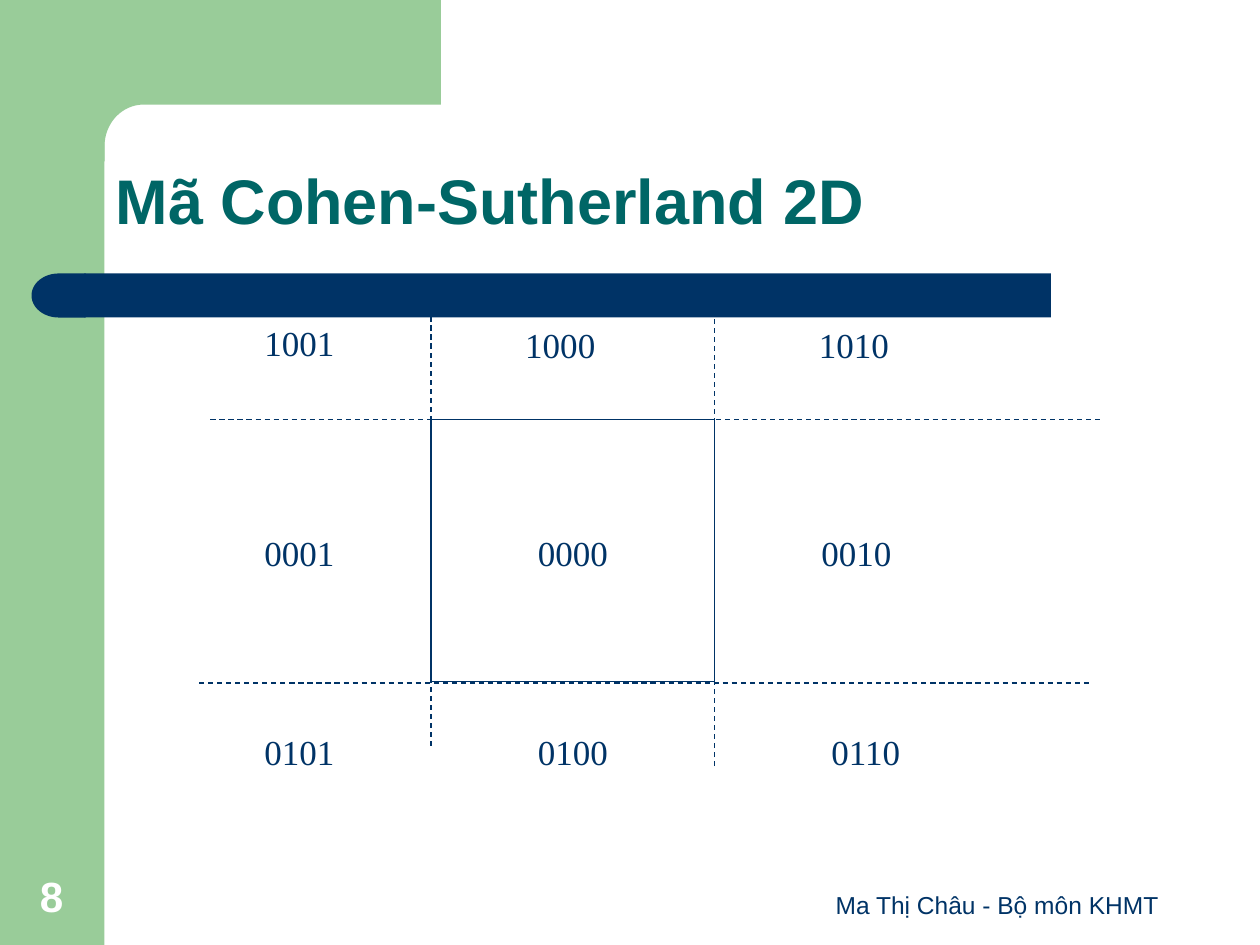
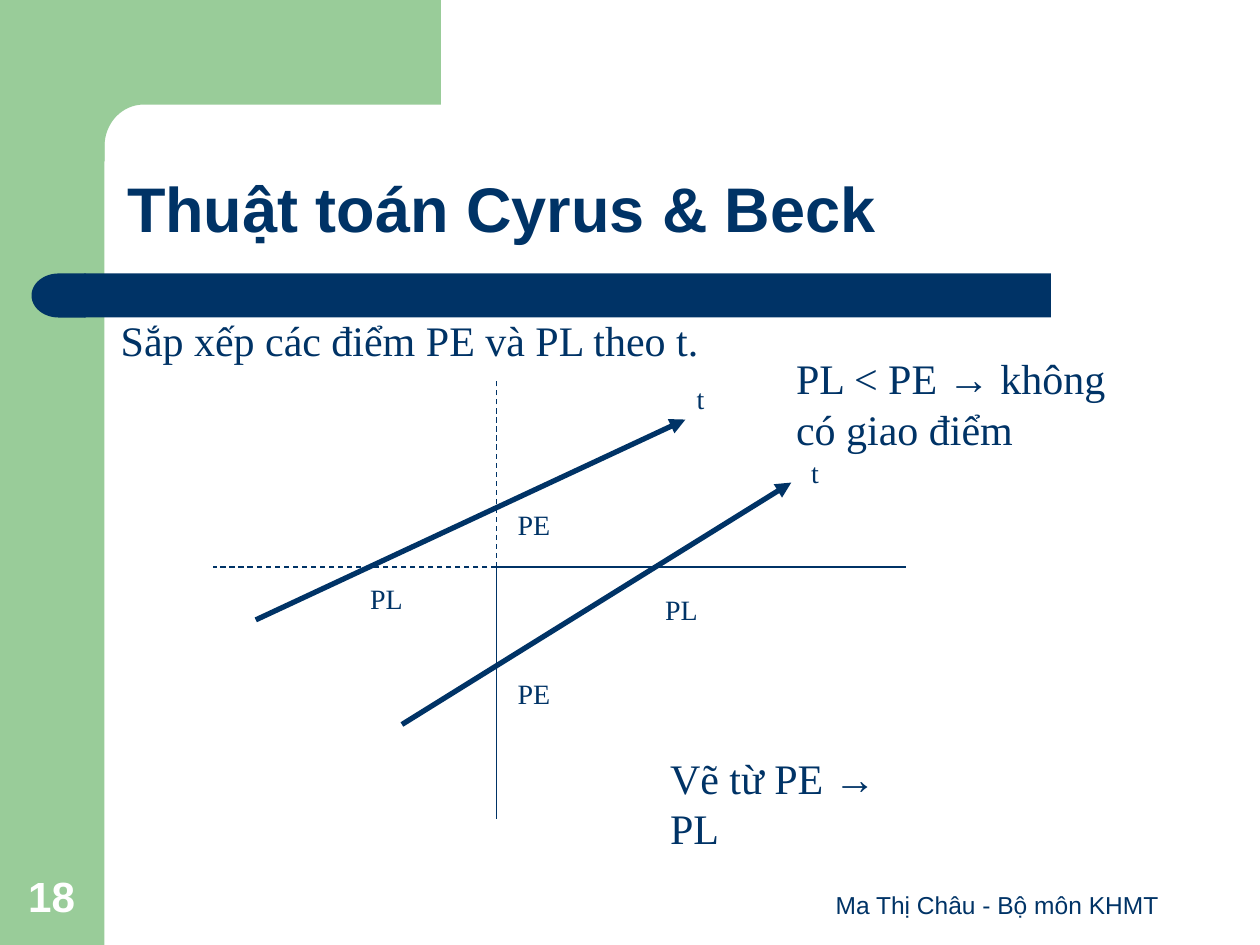
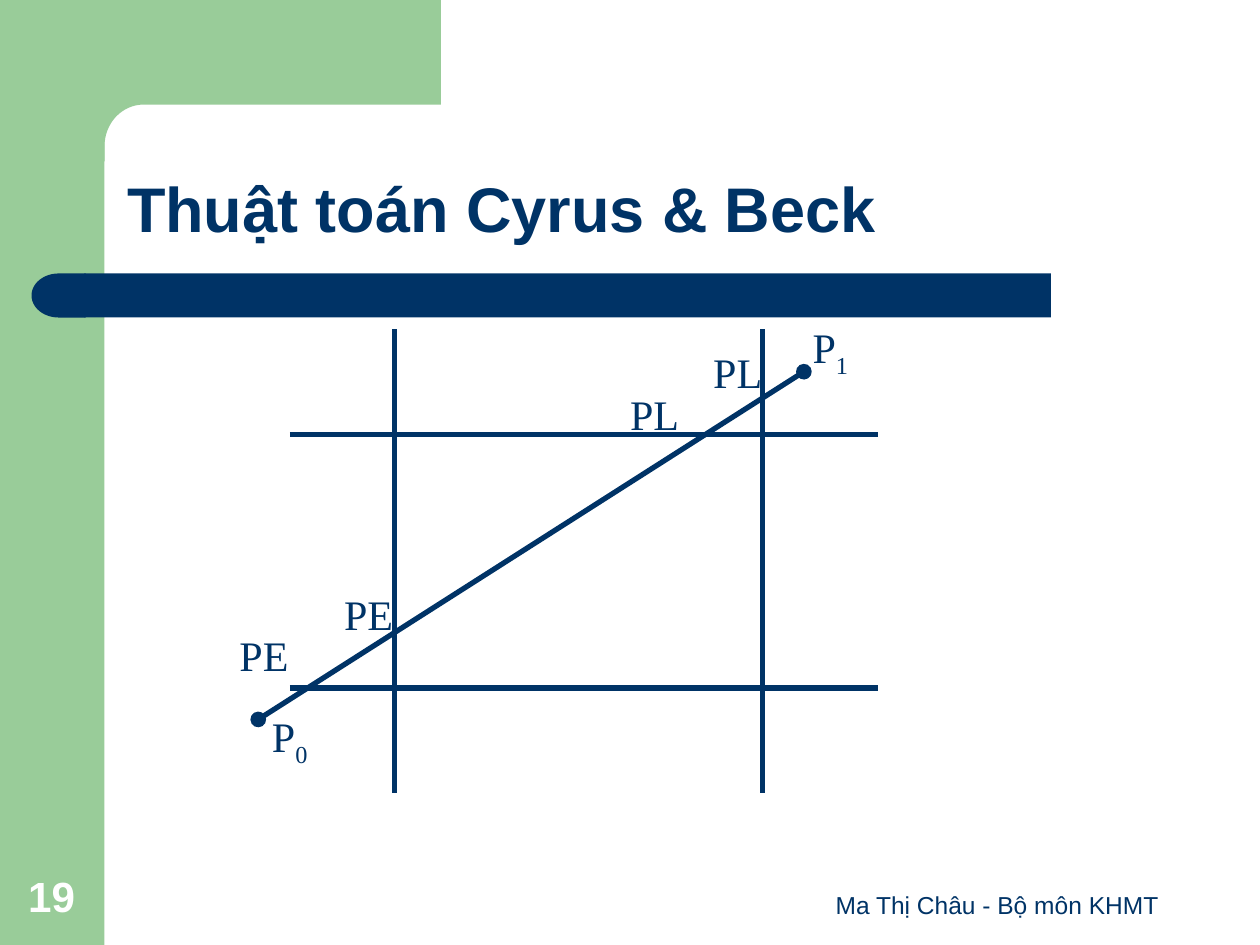
from dataclasses import dataclass, field
from math import cos, pi, sin
from typing import Any, NamedTuple

from lxml import etree
from pptx import Presentation
from pptx import util as u
from pptx.dml.color import RGBColor
from pptx.enum import dml, shapes, text
from pptx.oxml.ns import qn

HUES = {"navy": "003366", "green": "99CC99", "teal": "006666", "white": "FFFFFF"}
SANS, SERIF = "Arial", "Times New Roman"
LEFT, MID = text.PP_ALIGN.LEFT, text.PP_ALIGN.CENTER
TOP, CENTRE, BASE = (text.MSO_ANCHOR.TOP, text.MSO_ANCHOR.MIDDLE,
                     text.MSO_ANCHOR.BOTTOM)
TITLE = {"name": SANS, "size": u.Pt(36), "bold": True}
FOOTER = {"name": SANS, "size": u.Pt(14)}
NUMBER = {"name": SANS, "size": u.Pt(24.1), "bold": True}


class Run(NamedTuple):
    words: str
    font: str = ""
    shift: int = 0


@dataclass
class Label:
    left: float
    top: float
    width: float
    height: float
    lines: list[list[Run]]
    font: dict[str, Any]
    hue: str = "navy"
    align: Any = LEFT
    anchor: Any = TOP
    wrap: bool = False
    space: float = 1.0


@dataclass
class Line:
    start: tuple[float, float]
    end: tuple[float, float]
    weight: float = 0.75
    dash: bool = False
    ends: dict[str, str] = field(default_factory=dict)


def shade(name: str) -> RGBColor:
    return RGBColor.from_string(HUES[name])


def serif(size: int) -> dict[str, Any]:
    return {"name": SERIF, "size": u.Pt(size)}


def plain(words: str) -> list[list[Run]]:
    """One paragraph of one run."""
    return [[Run(words)]]


def set_all(target: Any, values: dict[str, Any]) -> None:
    for name, value in values.items():
        setattr(target, name, value)


def paint(shape: Any, hue: str) -> None:
    shape.shadow.inherit = False
    shape.fill.solid()
    shape.fill.fore_color.rgb = shade(hue)
    shape.line.fill.background()


def add_block(slide: Any, kind: Any, box: tuple[float, ...], hue: str) -> Any:
    shape = slide.shapes.add_shape(kind, *map(u.Inches, box))
    paint(shape, hue)
    return shape


def add_label(slide: Any, label: Label) -> None:
    box = slide.shapes.add_textbox(
        *map(u.Inches, (label.left, label.top, label.width, label.height)))
    frame = box.text_frame
    set_all(frame, {"word_wrap": label.wrap, "vertical_anchor": label.anchor})
    for index, line in enumerate(label.lines):
        para = frame.add_paragraph() if index else frame.paragraphs[0]
        set_all(para, {"alignment": label.align, "line_spacing": label.space})
        for part in line:
            run = para.add_run()
            run.text = part.words
            set_all(run.font, label.font)
            run.font.color.rgb = shade(label.hue)
            if part.font:
                run.font.name = part.font
            if part.shift:
                run._r.get_or_add_rPr().set("baseline", str(part.shift * 1000))


def add_line(slide: Any, line: Line) -> None:
    link = slide.shapes.add_connector(
        shapes.MSO_CONNECTOR.STRAIGHT, *map(u.Inches, line.start + line.end))
    link.line.color.rgb = shade("navy")
    link.line.width = u.Pt(line.weight)
    if line.dash:
        link.line.dash_style = dml.MSO_LINE.DASH
    stroke = link.line._get_or_add_ln()
    for end, kind in line.ends.items():
        etree.SubElement(stroke, qn(f"a:{end}"), type=kind)
    etree.SubElement(link._element.spPr, qn("a:effectLst"))


def add_corner(slide: Any) -> None:
    """Green block along the top, with a rounded inner corner."""
    mid_x, mid_y, wide, high, steps = 1.14, 1.16, 0.31, 0.33, 16
    turns = [pi / 2 * step / steps for step in range(steps + 1)]
    curve = [(mid_x - wide * sin(turn), mid_y - high * cos(turn)) for turn in turns]
    points = [(3.5, 0.83), *curve, (0.83, 1.28), (0.5, 1.28), (0.5, 0)]
    path = slide.shapes.build_freeform(u.Inches(3.5), 0)
    path.add_line_segments([(u.Inches(x), u.Inches(y)) for x, y in points])
    paint(path.convert_to_shape(), "green")


def add_base(deck: Any, number: int, title: Label) -> Any:
    """New slide with the shared bands, footer, number and its title."""
    slide = deck.slides.add_slide(deck.slide_layouts[6])
    kinds = shapes.MSO_SHAPE
    add_block(slide, kinds.RECTANGLE, (0, 0, 0.83, 7.5), "green")
    add_corner(slide)
    add_block(slide, kinds.RECTANGLE, (0.67, 2.17, 7.67, 0.35), "navy")
    cap = add_block(slide, kinds.FLOWCHART_DELAY, (0.25, 2.17, 0.43, 0.35), "navy")
    cap.rotation = 180
    add_label(slide, Label(6.33, 6.83, 3.17, 0.52, plain("Ma Thị Châu - Bộ môn KHMT"),
                           FOOTER, align=MID, anchor=BASE, wrap=True))
    add_label(slide, Label(0.09, 6.83, 0.64, 0.53, plain(str(number)), NUMBER,
                           "white", align=MID, anchor=BASE, wrap=True))
    add_label(slide, title)
    return slide


def beck_title() -> Label:
    return Label(0.91, 0.91, 8.51, 1.09, plain("Thuật toán Cyrus & Beck"),
                 TITLE, anchor=BASE, wrap=True, space=0.9)


def draw_codes(deck: Any) -> None:
    slide = add_base(deck, 8, Label(
        0.82, 0.99, 8.36, 0.95, plain("Mã Cohen-Sutherland 2D"), TITLE, "teal",
        anchor=BASE, wrap=True, space=0.9))
    window = slide.shapes.add_shape(
        shapes.MSO_SHAPE.RECTANGLE, *map(u.Inches, (3.42, 3.33, 2.25, 2.08)))
    window.shadow.inherit = False
    window.fill.background()
    window.line.color.rgb = shade("navy")
    window.line.width = u.Pt(0.75)
    for start, end in [((3.42, 5.92), (3.42, 2.33)), ((1.67, 3.33), (8.75, 3.33)),
                       ((1.58, 5.42), (8.67, 5.42)), ((5.67, 6.08), (5.67, 2.33))]:
        add_line(slide, Line(start, end, dash=True))
    codes = [("1001", 2, 2.5), ("1000", 4.07, 2.52), ("1010", 6.4, 2.52),
             ("0001", 2, 4.17), ("0000", 4.17, 4.17), ("0010", 6.42, 4.17),
             ("0101", 2, 5.75), ("0100", 4.17, 5.75), ("0110", 6.5, 5.75)]
    for code, left, top in codes:
        add_label(slide, Label(left, top, 0.8, 0.44, plain(code), serif(20)))


def draw_order(deck: Any) -> None:
    slide = add_base(deck, 18, beck_title())
    add_label(slide, Label(0.86, 2.45, 4.8, 0.5,
                           plain("Sắp xếp các điểm PE và PL theo t."), serif(24)))
    cross = (3.94, 4.5)
    for end, dash in [((7.19, 4.5), False), ((3.94, 6.5), False),
                      ((3.94, 3), True), ((1.69, 4.5), True)]:
        add_line(slide, Line(cross, end, dash=dash))
    for start, end in [((2.03, 4.92), (5.44, 3.33)), ((3.19, 5.75), (6.28, 3.83))]:
        add_line(slide, Line(start, end, 3, ends={"tailEnd": "triangle"}))
    marks = [("PE", 4.01, 5.32), ("PL", 5.18, 4.65), ("PL", 2.84, 4.57),
             ("PE", 4.01, 3.98), ("t", 5.43, 2.98), ("t", 6.34, 3.57)]
    for mark, left, top in marks:
        width = 0.26 if mark == "t" else 0.46
        add_label(slide, Label(left, top, width, 0.37, plain(mark), serif(16)))
    arrow = Run("→", SANS)
    add_label(slide, Label(5.22, 5.92, 2.24, 0.5,
                           [[Run("Vẽ từ PE "), arrow, Run(" PL")]],
                           serif(24), wrap=True))
    add_label(slide, Label(6.22, 2.75, 2.68, 0.9,
                           [[Run("PL < PE "), arrow, Run(" không")],
                            [Run("có giao điểm")]], serif(24)))


def draw_clip(deck: Any) -> None:
    slide = add_base(deck, 19, beck_title())
    for y in (3.45, 5.46):
        add_line(slide, Line((2.3, y), (6.97, y), 3))
    for x in (3.13, 6.05):
        add_line(slide, Line((x, 6.29), (x, 2.61), 3))
    add_line(slide, Line((6.38, 2.95), (2.05, 5.71), 3,
                         ends={"headEnd": "oval", "tailEnd": "oval"}))
    marks = [("PE", 1.8, 4.95), ("PL", 5.56, 2.7), ("PL", 4.9, 3.03),
             ("PE", 2.63, 4.62)]
    for mark, left, top in marks:
        add_label(slide, Label(left, top, 0.59, 0.5, plain(mark), serif(24),
                               align=MID, anchor=CENTRE))
    for digit, left, top in [("1", 6.35, 2.5), ("0", 2.06, 5.59)]:
        add_label(slide, Label(left, top, 0.48, 0.56,
                               [[Run("P"), Run(digit, shift=-25)]], serif(24),
                               align=MID, anchor=CENTRE))


def main() -> None:
    deck = Presentation()
    set_all(deck, {"slide_width": u.Inches(10), "slide_height": u.Inches(7.5)})
    for draw in (draw_codes, draw_order, draw_clip):
        draw(deck)
    deck.save("out.pptx")


if __name__ == "__main__":
    main()
